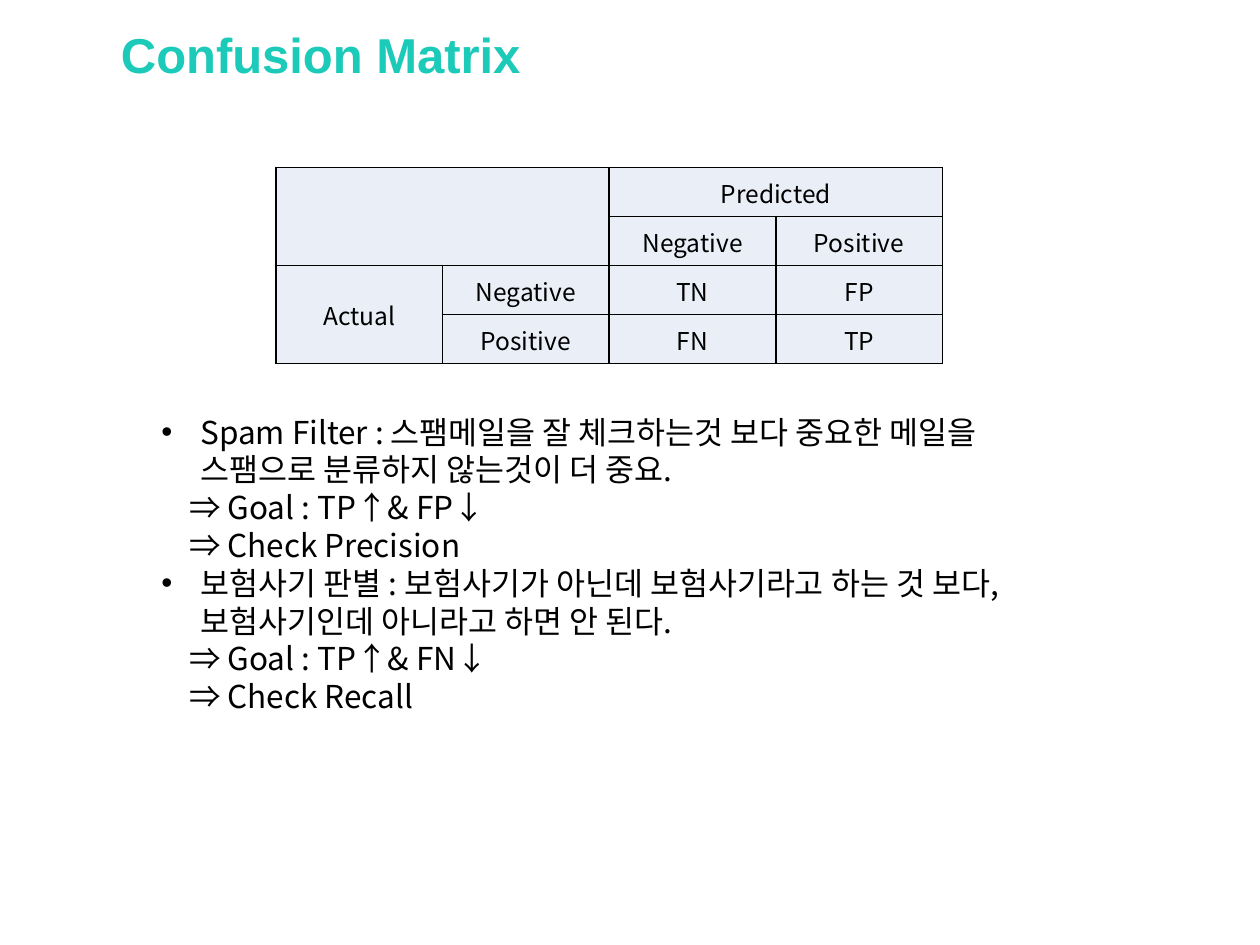
import dataclasses
import typing

import pptx
import pptx.dml.color
import pptx.enum.text
import pptx.oxml.ns
import pptx.oxml.xmlchemy
import pptx.util
from lxml import etree

Inches = pptx.util.Inches
Pt = pptx.util.Pt
qn = pptx.oxml.ns.qn


@dataclasses.dataclass(frozen=True)
class Theme:
    heading: str = "1CCAB9"
    ink: str = "000000"
    cell: str = "EAEFF7"
    heading_font: str = "Arial"
    text_font: str = "Noto Sans CJK KR"
    heading_size: float = 28
    body_size: float = 18
    body_leading: float = 21.6
    cell_size: float = 14
    border: float = 1


@dataclasses.dataclass(frozen=True)
class Area:
    left: float
    top: float
    width: float
    height: float


@dataclasses.dataclass(frozen=True)
class MatrixCell:
    row: int
    column: int
    text: str = ""
    rows: int = 1
    columns: int = 1


@dataclasses.dataclass(frozen=True)
class Topic:
    statement: str
    conclusions: tuple[str, ...]


THEME = Theme()
WIDTH, HEIGHT = 10, 7.5
GRID_SIZE = 4
TITLE_AREA = Area(0.086, -0.001, 0.765, 0.117)
TABLE_AREA = Area(0.219, 0.177, 0.529, 0.208)
BODY_AREA = Area(0.118, 0.43, 0.763, 0.336)
BULLET_INDENT = 0.31
CONCLUSION_INDENT = 0.22

CELLS = (
    MatrixCell(0, 0, rows=2, columns=2),
    MatrixCell(0, 2, "Predicted", columns=2),
    MatrixCell(1, 2, "Negative"),
    MatrixCell(1, 3, "Positive"),
    MatrixCell(2, 0, "Actual", rows=2),
    MatrixCell(2, 1, "Negative"),
    MatrixCell(2, 2, "TN"),
    MatrixCell(2, 3, "FP"),
    MatrixCell(3, 1, "Positive"),
    MatrixCell(3, 2, "FN"),
    MatrixCell(3, 3, "TP"),
)

TOPICS = (
    Topic(
        "Spam Filter : 스팸메일을 잘 체크하는것 보다 중요한 메일을 스팸으로 분류하지 않는것이 더 중요.",
        ("⇒ Goal : TP↑& FP↓", "⇒ Check Precision"),
    ),
    Topic(
        "보험사기 판별 : 보험사기가 아닌데 보험사기라고 하는 것 보다, 보험사기인데 아니라고 하면 안 된다.",
        ("⇒ Goal : TP↑& FN↓", "⇒ Check Recall"),
    ),
)


def set_attributes(target: typing.Any, values: dict[str, typing.Any]) -> None:
    for name, value in values.items():
        setattr(target, name, value)


def position(area: Area) -> dict[str, int]:
    return {
        "left": Inches(area.left * WIDTH),
        "top": Inches(area.top * HEIGHT),
        "width": Inches(area.width * WIDTH),
        "height": Inches(area.height * HEIGHT),
    }


def write(paragraph: typing.Any, text: str, font: str, size: float,
          color: str, bold: bool = False) -> None:
    run = paragraph.add_run()
    run.text = text
    set_attributes(run.font, {"name": font, "size": Pt(size), "bold": bold})
    run.font.color.rgb = pptx.dml.color.RGBColor.from_string(color)
    etree.SubElement(run.font._element, qn("a:ea"), typeface=font)


def add_title(slide: typing.Any) -> None:
    title = slide.shapes.title
    set_attributes(title, position(TITLE_AREA))
    set_attributes(title.text_frame, {
        "word_wrap": True,
        "vertical_anchor": pptx.enum.text.MSO_ANCHOR.MIDDLE,
        "auto_size": pptx.enum.text.MSO_AUTO_SIZE.NONE,
    })
    paragraph = title.text_frame.paragraphs[0]
    paragraph.alignment = pptx.enum.text.PP_ALIGN.LEFT
    write(paragraph, "Confusion Matrix", THEME.heading_font,
          THEME.heading_size, THEME.heading, True)


def style_cell(cell: typing.Any) -> None:
    set_attributes(cell, {
        "margin_left": Inches(0.01),
        "margin_right": Inches(0.01),
        "margin_top": Inches(0.01),
        "margin_bottom": 0,
        "vertical_anchor": pptx.enum.text.MSO_ANCHOR.MIDDLE,
    })
    properties = cell._tc.get_or_add_tcPr()
    for side in ("lnL", "lnR", "lnT", "lnB"):
        line = etree.SubElement(properties, qn(f"a:{side}"), w=str(Pt(THEME.border)))
        fill = etree.SubElement(line, qn("a:solidFill"))
        etree.SubElement(fill, qn("a:srgbClr"), val=THEME.ink)
    cell.fill.solid()
    cell.fill.fore_color.rgb = pptx.dml.color.RGBColor.from_string(THEME.cell)


def add_matrix(slide: typing.Any) -> None:
    table = slide.shapes.add_table(GRID_SIZE, GRID_SIZE, **position(TABLE_AREA)).table
    set_attributes(table, {"first_row": False, "horz_banding": False})
    for cell in table.iter_cells():
        style_cell(cell)
    for entry in CELLS:
        cell = table.cell(entry.row, entry.column)
        if entry.rows * entry.columns > 1:
            cell.merge(table.cell(entry.row + entry.rows - 1,
                                  entry.column + entry.columns - 1))
        if entry.text:
            paragraph = cell.text_frame.paragraphs[0]
            paragraph.alignment = pptx.enum.text.PP_ALIGN.CENTER
            write(paragraph, entry.text, THEME.text_font, THEME.cell_size, THEME.ink)


def format_item(paragraph: typing.Any, text: str, bulleted: bool) -> None:
    set_attributes(paragraph, {
        "space_before": Pt(0),
        "space_after": Pt(0),
        "line_spacing": Pt(THEME.body_leading),
        "alignment": pptx.enum.text.PP_ALIGN.LEFT,
    })
    properties = paragraph._p.get_or_add_pPr()
    margin = BULLET_INDENT if bulleted else CONCLUSION_INDENT
    properties.set("marL", str(Inches(margin)))
    properties.set("indent", str(Inches(-margin if bulleted else 0)))
    if bulleted:
        etree.SubElement(properties, qn("a:buFont"), typeface="Arial")
        etree.SubElement(properties, qn("a:buChar"), char="•")
    else:
        etree.SubElement(properties, qn("a:buNone"))
    write(paragraph, text, THEME.text_font, THEME.body_size, THEME.ink)


def add_topics(slide: typing.Any) -> None:
    body = slide.placeholders[1]
    set_attributes(body, position(BODY_AREA))
    frame = body.text_frame
    set_attributes(frame, {
        "word_wrap": True,
        "vertical_anchor": pptx.enum.text.MSO_ANCHOR.TOP,
        "auto_size": pptx.enum.text.MSO_AUTO_SIZE.NONE,
    })
    items = [(text, text == topic.statement) for topic in TOPICS
             for text in (topic.statement, *topic.conclusions)]
    for index, (text, bulleted) in enumerate(items):
        paragraph = frame.add_paragraph() if index else frame.paragraphs[0]
        format_item(paragraph, text, bulleted)


def main() -> None:
    presentation = pptx.Presentation()
    set_attributes(presentation, {"slide_width": Inches(WIDTH),
                                  "slide_height": Inches(HEIGHT)})
    slide = presentation.slides.add_slide(presentation.slide_layouts[1])
    add_title(slide)
    add_matrix(slide)
    add_topics(slide)
    presentation.save("out.pptx")


if __name__ == "__main__":
    main()
